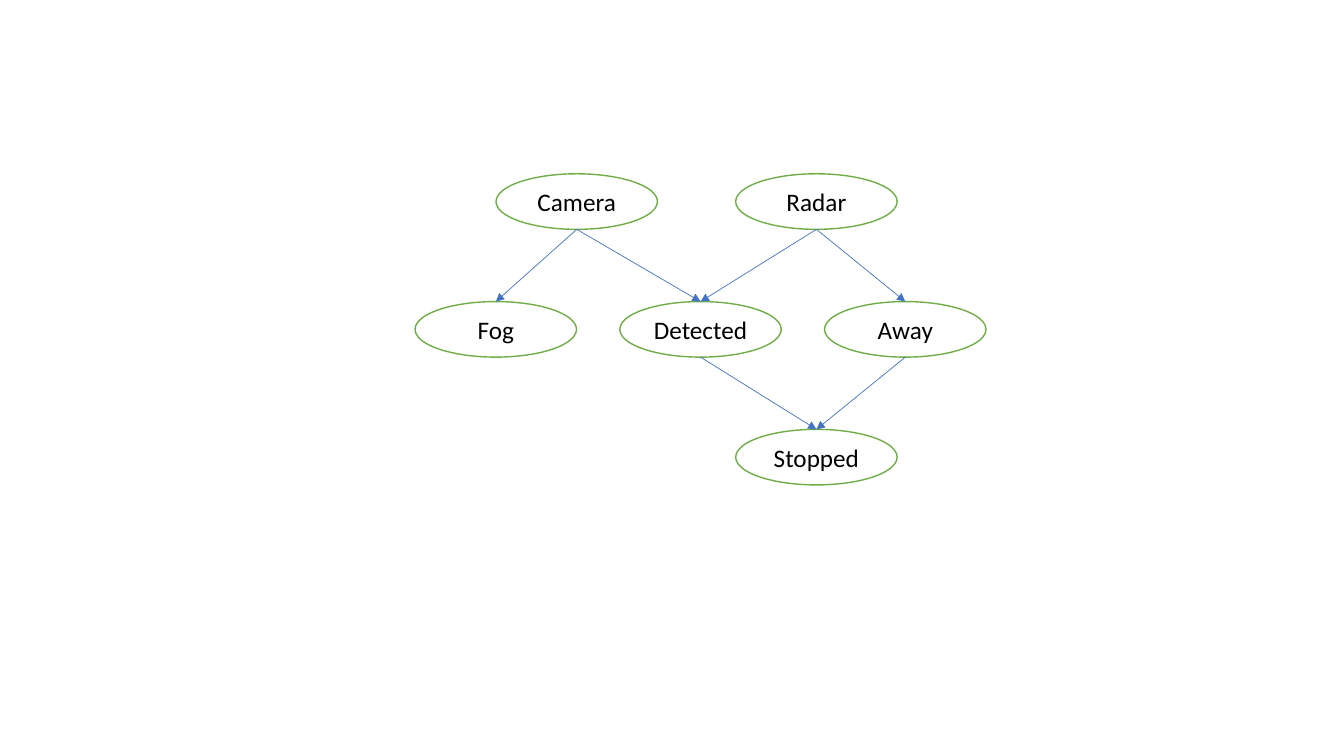
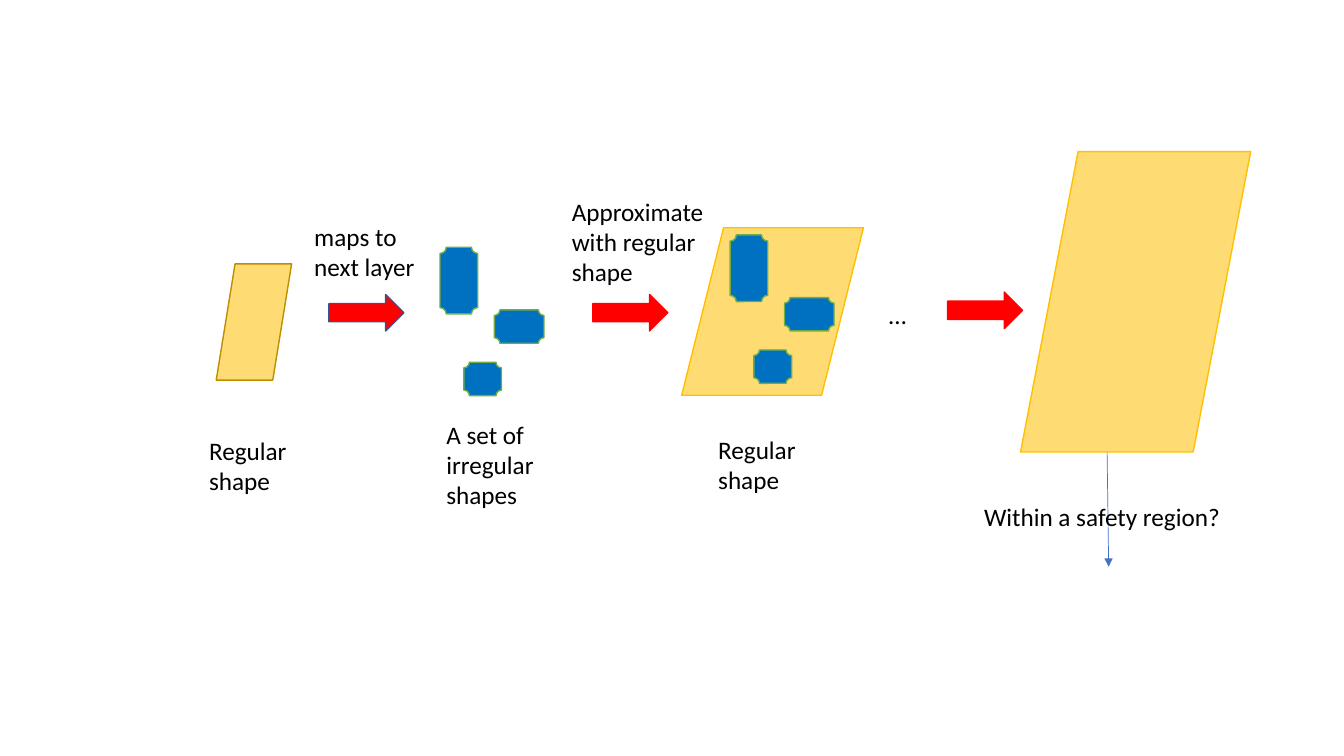
from lxml import etree
from pptx import Presentation
from pptx import util as u
from pptx.dml import color as col
from pptx.enum import shapes as sh, text as tx
from pptx.oxml import ns

GREEN, BLUE, RED, AMBER = "70AD47", "0070C0", "FF0000", "FFC000"
PLAIN, INK, LINK = "FFFFFF", "000000", "4472C4"
DARK_AMBER, DARK_BLUE = "BD8E00", "325491"


def rgb(code):
    """Turn a hex string into a colour."""
    return col.RGBColor.from_string(code)


def add_child(parent, tag, **attributes):
    """Append a drawing element with the given attributes."""
    return etree.SubElement(parent, ns.qn(tag), **attributes)


class Deck:
    """Holds the shared style and the slide being drawn."""

    font, size = "Calibri", u.Pt(18)
    outline, link_width = u.Pt(1), u.Pt(0.5)

    def __init__(self):
        """Start a widescreen presentation."""
        self.prs = Presentation()
        self.prs.slide_width, self.prs.slide_height = u.Cm(33.87), u.Cm(19.05)
        self.slide = None

    def new_slide(self):
        """Add a slide without placeholders."""
        self.slide = self.prs.slides.add_slide(self.prs.slide_layouts[6])

    def set_words(self, frame, words, align):
        """Put words in a text frame in the shared text style."""
        frame.text = words
        frame.word_wrap = True
        for paragraph in frame.paragraphs:
            paragraph.alignment = align
            for run in paragraph.runs:
                run.font.name, run.font.size = self.font, self.size
                run.font.color.rgb = rgb(INK)

    def shape(self, kind, box, fill, line, alpha=None):
        """Draw a preset shape; alpha is the opacity in percent."""
        item = self.slide.shapes.add_shape(kind, *map(u.Cm, box))
        item.shadow.inherit = False
        item.fill.solid()
        item.fill.fore_color.rgb = rgb(fill)
        item.line.color.rgb = rgb(line)
        item.line.width = self.outline
        if alpha is not None:
            solid = item.element.spPr.find(ns.qn("a:solidFill"))
            add_child(solid[0], "a:alpha", val=str(alpha * 1000))
        return item

    def node(self, name, box):
        """Draw a named ellipse of the graph."""
        oval = self.shape(sh.MSO_SHAPE.OVAL, box, PLAIN, GREEN)
        oval.text_frame.vertical_anchor = tx.MSO_ANCHOR.MIDDLE
        self.set_words(oval.text_frame, name, tx.PP_ALIGN.CENTER)

    def region(self, box, line=AMBER):
        """Draw a translucent regular shape."""
        self.shape(sh.MSO_SHAPE.PARALLELOGRAM, box, AMBER, line, alpha=55)

    def step(self, left, top, line=RED):
        """Draw a red block arrow to the next stage."""
        self.shape(sh.MSO_SHAPE.RIGHT_ARROW, (left, top, 1.89, 0.92), RED, line)

    def irregular_set(self, left, top):
        """Draw the three irregular pieces from their top left corner."""
        pieces = ((0, 0, 0.95, 1.68), (0.6, 2.9, 0.95, 0.84), (1.37, 1.58, 1.25, 0.84))
        for dx, dy, width, height in pieces:
            box = (left + dx, top + dy, width, height)
            self.shape(sh.MSO_SHAPE.PLAQUE, box, BLUE, GREEN)

    def label(self, words, box):
        """Add a left-aligned text box."""
        holder = self.slide.shapes.add_textbox(*map(u.Cm, box))
        self.set_words(holder.text_frame, words, tx.PP_ALIGN.LEFT)

    def link(self, start, end):
        """Draw a thin arrow between two points."""
        arrow = self.slide.shapes.add_connector(
            sh.MSO_CONNECTOR.STRAIGHT, *map(u.Cm, (*start, *end)))
        arrow.line.color.rgb = rgb(LINK)
        arrow.line.width = self.link_width
        outline = arrow.element.spPr.find(ns.qn("a:ln"))
        add_child(outline, "a:tailEnd", type="triangle")
        add_child(arrow.element.spPr, "a:effectLst")


def sensor_graph(deck):
    """Draw the graph from sensors to the stopped state."""
    deck.new_slide()
    width, height, first_row, row_step = 4.07, 1.4, 4.38, 3.22
    fog, column_step, camera, radar = 10.46, 5.16, 12.5, 18.54
    places = {
        "Camera": (camera, 0), "Radar": (radar, 0),
        "Detected": (fog + column_step, 1), "Away": (fog + 2 * column_step, 1),
        "Fog": (fog, 1), "Stopped": (radar, 2),
    }
    tops = {}
    for name, (left, row) in places.items():
        top = first_row + row * row_step
        deck.node(name, (left, top, width, height))
        tops[name] = (left + width / 2, top)
    links = (("Camera", "Detected"), ("Radar", "Detected"), ("Camera", "Fog"),
             ("Detected", "Stopped"), ("Away", "Stopped"), ("Radar", "Away"))
    for source, target in links:
        x, y = tops[source]
        deck.link((x, y + height), tops[target])


def layer_mapping(deck):
    """Draw how a regular shape is mapped layer by layer."""
    deck.new_slide()
    deck.region((5.45, 6.65, 1.9, 2.93), line=DARK_AMBER)
    deck.region((17.18, 5.74, 4.58, 4.22))
    deck.region((25.72, 3.82, 5.8, 7.57))
    deck.step(8.29, 7.42, line=DARK_BLUE)
    deck.step(14.94, 7.42)
    deck.step(23.88, 7.36)
    deck.irregular_set(11.09, 6.23)
    deck.irregular_set(18.4, 5.92)
    deck.link((27.9, 11.4), (27.94, 14.28))
    labels = (
        ("maps to\nnext layer", (7.67, 5.44, 3.07, 1.8)),
        ("Approximate\nwith regular\nshape", (14.16, 4.81, 4.01, 2.57)),
        ("Regular\nshape", (5.02, 10.84, 2.64, 1.8)),
        ("A set of\nirregular\nshapes", (11, 10.43, 2.87, 2.57)),
        ("Regular\nshape", (17.85, 10.81, 2.64, 1.8)),
        ("…", (22.15, 7.42, 0.97, 1.03)),
        ("Within a safety region?", (24.55, 12.51, 6.53, 1.03)),
    )
    for words, box in labels:
        deck.label(words, box)


deck = Deck()
sensor_graph(deck)
layer_mapping(deck)
deck.prs.save("out.pptx")
